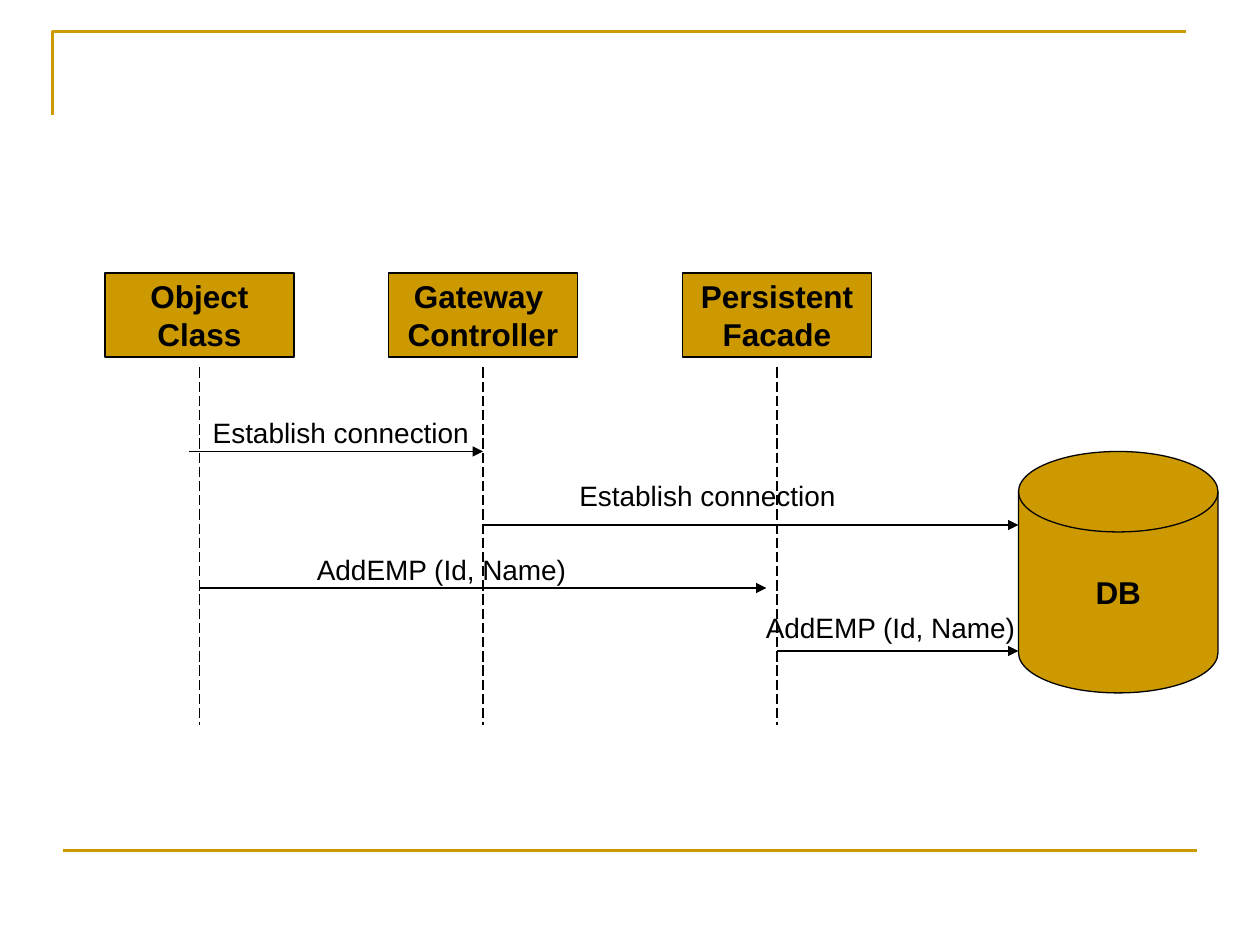
import lxml.etree
import pptx
import pptx.dml.color
import pptx.enum.dml
import pptx.enum.shapes
import pptx.enum.text
import pptx.oxml.ns
import pptx.util

Pt = pptx.util.Pt
GOLD = pptx.dml.color.RGBColor(0xCC, 0x99, 0x00)
BLACK = pptx.dml.color.RGBColor(0x00, 0x00, 0x00)
PRESET = pptx.enum.shapes.MSO_SHAPE
ALIGN = pptx.enum.text.PP_ALIGN
ANCHOR = pptx.enum.text.MSO_ANCHOR
AUTO_SIZE = pptx.enum.text.MSO_AUTO_SIZE


def write_text(frame, text, size=16, bold=False, align=ALIGN.LEFT,
               anchor=ANCHOR.TOP, auto_size=AUTO_SIZE.NONE,
               font="Arial", color=BLACK):
    frame.word_wrap = False
    frame.auto_size = auto_size
    frame.vertical_anchor = anchor
    frame.text = text
    for paragraph in frame.paragraphs:
        paragraph.alignment = align
        paragraph.font.name = font
        paragraph.font.size = Pt(size)
        paragraph.font.bold = bold
        paragraph.font.color.rgb = color


class SequenceDiagram:
    thin, thick = 0.75, 1.5

    def __init__(self, slide):
        self.shapes = slide.shapes

    def outline(self, line, color, weight):
        line.color.rgb = color
        line.width = Pt(weight)

    def corner_rule(self, start, *turns):
        builder = self.shapes.build_freeform(*start, scale=Pt(1))
        builder.add_line_segments(turns, close=False)
        corner = builder.convert_to_shape()
        corner.shadow.inherit = False
        corner.fill.background()
        self.outline(corner.line, GOLD, self.thick)

    def line(self, x1, y1, x2, y2, color=BLACK, weight=thin, dash=None, arrow=False):
        stroke = self.shapes.add_connector(
            pptx.enum.shapes.MSO_CONNECTOR.STRAIGHT, Pt(x1), Pt(y1), Pt(x2), Pt(y2))
        self.outline(stroke.line, color, weight)
        if dash:
            stroke.line.dash_style = dash
        properties = stroke._element.spPr
        if arrow:
            lxml.etree.SubElement(properties.find(pptx.oxml.ns.qn("a:ln")),
                                  pptx.oxml.ns.qn("a:tailEnd"), type="triangle")
        lxml.etree.SubElement(properties, pptx.oxml.ns.qn("a:effectLst"))

    def node(self, preset, left, top, width, height, text):
        block = self.shapes.add_shape(preset, Pt(left), Pt(top), Pt(width), Pt(height))
        block.shadow.inherit = False
        block.fill.solid()
        block.fill.fore_color.rgb = GOLD
        self.outline(block.line, BLACK, self.thin)
        write_text(block.text_frame, text, size=18, bold=True,
                   align=ALIGN.CENTER, anchor=ANCHOR.MIDDLE)

    def label(self, left, top, width, text):
        caption = self.shapes.add_textbox(Pt(left), Pt(top), Pt(width), Pt(26.6))
        write_text(caption.text_frame, text, auto_size=AUTO_SIZE.SHAPE_TO_FIT_TEXT)


def main():
    presentation = pptx.Presentation()
    presentation.slide_width, presentation.slide_height = Pt(720), Pt(540)
    diagram = SequenceDiagram(
        presentation.slides.add_slide(presentation.slide_layouts[6]))

    diagram.corner_rule((30, 66), (30, 18), (678, 18))
    diagram.line(36, 486, 684, 486, color=GOLD, weight=diagram.thick)

    object_x, gateway_x, facade_x, database_x = 114, 276, 444, 582
    participants = [(object_x, "Object\nClass"),
                    (gateway_x, "Gateway \nController"),
                    (facade_x, "Persistent\nFacade")]
    participant_width = 108
    for center, title in participants:
        diagram.node(PRESET.RECTANGLE, center - participant_width / 2, 156,
                     participant_width, 48, title)
    for center, title in participants:
        diagram.line(center, 210, center, 414,
                     dash=pptx.enum.dml.MSO_LINE.LONG_DASH)
    diagram.node(PRESET.FLOWCHART_MAGNETIC_DISK, database_x, 258, 114, 138, "DB")

    connect = ("Establish connection", 160.6)
    add_employee = ("AddEMP (Id, Name)", 157)
    messages = [(object_x - 6, gateway_x, 258, 114.5, 234, connect),
                (gateway_x, database_x, 300, 324, 270, connect),
                (object_x, facade_x - 6, 336, 174, 312, add_employee),
                (facade_x, database_x, 372, 430.5, 345.5, add_employee)]
    for sender, receiver, y, *_ in messages:
        diagram.line(sender, y, receiver, y, arrow=True)
    for *_, left, top, (wording, width) in messages:
        diagram.label(left, top, width, wording)

    presentation.save("out.pptx")


if __name__ == "__main__":
    main()
